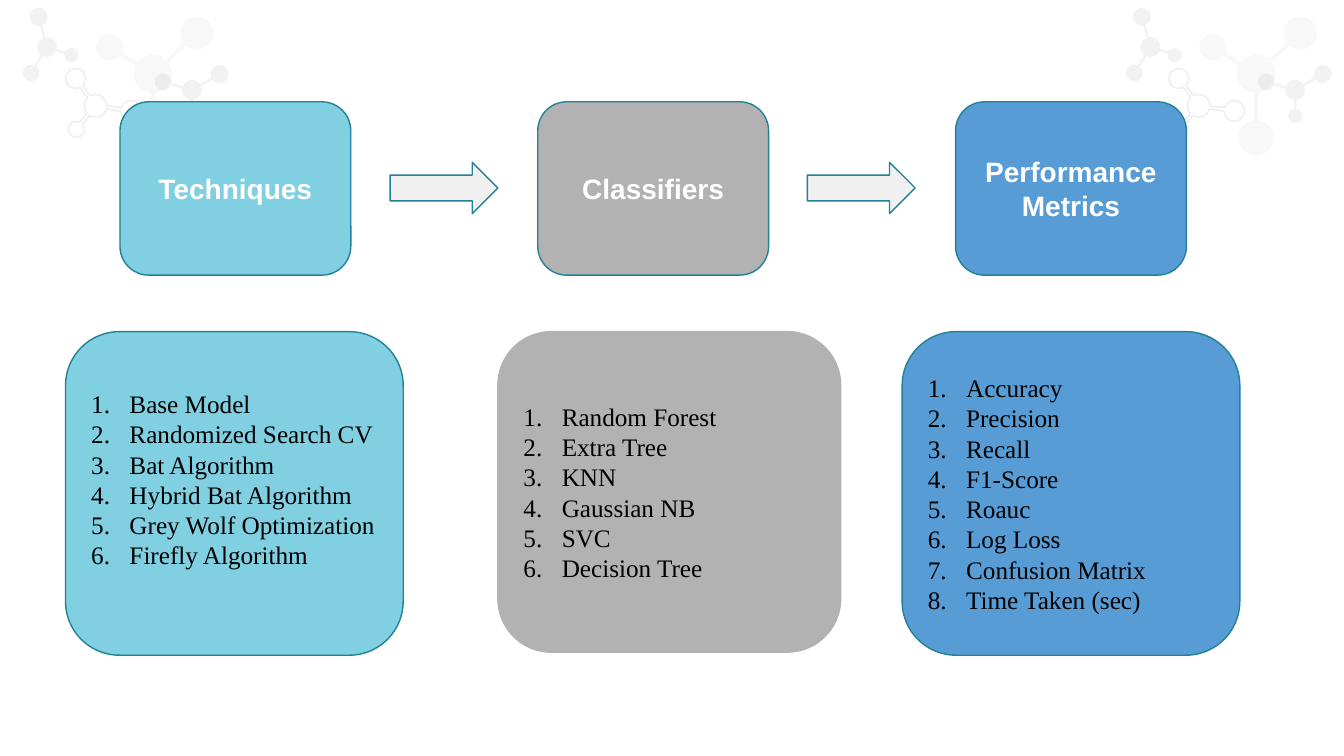
from dataclasses import dataclass
from math import asin, atan2, ceil, cos, pi, sin, tau

from lxml import etree
from pptx import Presentation
from pptx.dml.color import RGBColor
from pptx.enum.shapes import MSO_SHAPE
from pptx.enum.text import MSO_ANCHOR, PP_ALIGN
from pptx.oxml.ns import qn
from pptx.util import Inches, Pt

ROUNDED = MSO_SHAPE.ROUNDED_RECTANGLE
ARROW = MSO_SHAPE.RIGHT_ARROW
MIDDLE = MSO_ANCHOR.MIDDLE
LEFT, CENTER, JUSTIFY = PP_ALIGN.LEFT, PP_ALIGN.CENTER, PP_ALIGN.JUSTIFY

COLUMNS, ROWS = 80, 45
CELL = Inches(1) // 6
BLANK_LAYOUT = 6
STEPS_PER_TURN = 12


@dataclass(frozen=True)
class Theme:
    aqua: str = "81D0E2"
    gray: str = "B2B2B2"
    blue: str = "589CD6"
    edge: str = "238197"
    arrow: str = "F1F0F0"
    white: str = "FFFFFF"
    black: str = "000000"
    pale: str = "F2F2F2"
    mist: str = "808080"
    ring: str = "A6A6A6"
    head_font: str = "Arial"
    list_font: str = "Times New Roman"
    head_size: int = 20
    list_size: int = 18


THEME = Theme()

HEADS = [
    ("Techniques", THEME.aqua),
    ("Classifiers", THEME.gray),
    ("Performance Metrics", THEME.blue),
]

CARDS = [
    ((3.9, 19.74, 20.1, 19.26), THEME.aqua, THEME.edge, JUSTIFY, 1.7,
     ["Base Model", "Randomized Search CV", "Bat Algorithm",
      "Hybrid Bat Algorithm", "Grey Wolf Optimization", "Firefly Algorithm"]),
    ((29.64, 19.74, 20.4, 19.08), THEME.gray, THEME.gray, JUSTIFY, 0,
     ["Random Forest", "Extra Tree", "KNN", "Gaussian NB", "SVC", "Decision Tree"]),
    ((53.7, 19.74, 20.1, 19.26), THEME.blue, THEME.edge, LEFT, 0,
     ["Accuracy", "Precision", "Recall", "F1-Score", "Roauc", "Log Loss",
      "Confusion Matrix", "Time Taken (sec)"]),
]

MOLECULES = [
    ((11.43, 5.36, 0.6), [(9.7, 4.88, 0.5), (13.07, 4.4, 0.54), (11.43, 6.9, 0.42)],
     0.07, THEME.pale, None, 100),
    ((5.68, 6.3, 0.68), [(4.5, 4.67, 0.6), (4.55, 7.7, 0.48), (7.8, 6.6, 0.62)],
     0.1, None, THEME.ring, 20),
    ((9.1, 4.4, 1.16), [(6.5, 2.8, 0.8), (11.73, 1.97, 1.01), (9.1, 8.2, 1.07)],
     0.12, THEME.mist, None, 5),
    ((2.8, 2.8, 0.6), [(2.3, 1, 0.54), (1.85, 4.35, 0.5), (4.25, 3.28, 0.42)],
     0.07, THEME.pale, None, 100),
]


def cells(*counts):
    return [round(count * CELL) for count in counts]


def paint(shape, fill, line):
    shape.shadow.inherit = False
    if fill:
        shape.fill.solid()
        shape.fill.fore_color.rgb = RGBColor.from_string(fill)
    else:
        shape.fill.background()
    if line:
        shape.line.color.rgb = RGBColor.from_string(line)
        shape.line.width = Pt(1)
    else:
        shape.line.fill.background()


def add_box(page, kind, frame, fill, line):
    box = page.shapes.add_shape(kind, *cells(*frame))
    paint(box, fill, line)
    return box


def write(box, lines, align, font, size, color, bold):
    text = box.text_frame
    text.word_wrap = True
    text.vertical_anchor = MIDDLE
    text.text = "\n".join(lines)
    for para in text.paragraphs:
        para.alignment = align
        for span in para.runs:
            span.font.name = font
            span.font.size = Pt(size)
            span.font.bold = bold
            span.font.color.rgb = RGBColor.from_string(color)


def add_head(page, index, label, fill):
    frame = (7.14 + 24.87 * index, 6.06, 13.74, 10.32)
    box = add_box(page, ROUNDED, frame, fill, THEME.edge)
    write(box, [label], CENTER, THEME.head_font, THEME.head_size, THEME.white, True)


def number(para):
    properties = para._p.get_or_add_pPr()
    indent = Inches(0.38)
    properties.set("marL", str(indent))
    properties.set("indent", str(-indent))
    etree.SubElement(properties, qn("a:buFont"), typeface="+mj-lt")
    etree.SubElement(properties, qn("a:buAutoNum"), type="arabicPeriod")


def add_card(page, frame, fill, line, align, lift, items):
    box = add_box(page, ROUNDED, frame, fill, line)
    write(box, items, align, THEME.list_font, THEME.list_size, THEME.black, False)
    box.text_frame.margin_bottom = Inches(0.05) + cells(lift)[0]
    for para in box.text_frame.paragraphs:
        number(para)


def arc(atom, start, end):
    x, y, radius = atom
    steps = ceil((end - start) / tau * STEPS_PER_TURN)
    angles = [start + (end - start) * step / steps for step in range(steps + 1)]
    return [(x + radius * cos(angle), y + radius * sin(angle)) for angle in angles]


def molecule_outline(hub, atoms, bond):
    def bearing(atom):
        return atan2(atom[1] - hub[1], atom[0] - hub[0])

    ring = sorted(atoms, key=bearing)
    gap = asin(bond / hub[2])
    previous = bearing(ring[-1]) - tau
    points = []
    for atom in ring:
        angle = bearing(atom)
        opening = asin(bond / atom[2])
        points += arc(hub, previous + gap, angle - gap)
        points += arc(atom, angle - pi + opening, angle + pi - opening)
        previous = angle
    return points


def add_molecule(page, shift, hub, atoms, bond, fill, line, opacity):
    outline = molecule_outline(hub, atoms, bond)
    points = [cells(x + shift, y) for x, y in outline]
    builder = page.shapes.build_freeform(*points[0])
    builder.add_line_segments(points[1:], close=True)
    molecule = builder.convert_to_shape()
    paint(molecule, fill, line)
    if opacity < 100:
        color = next(molecule._element.spPr.iter(qn("a:srgbClr")))
        etree.SubElement(color, qn("a:alpha"), val=str(opacity * 1000))


def main():
    deck = Presentation()
    deck.slide_width, deck.slide_height = cells(COLUMNS, ROWS)
    page = deck.slides.add_slide(deck.slide_layouts[BLANK_LAYOUT])
    for shift in (65.67, 0):
        for molecule in MOLECULES:
            add_molecule(page, shift, *molecule)
    for index, head in enumerate(HEADS):
        add_head(page, index, *head)
    for card in CARDS:
        add_card(page, *card)
    for index in range(len(HEADS) - 1):
        frame = (23.22 + 24.84 * index, 9.66, 6.42, 3.06)
        add_box(page, ARROW, frame, THEME.arrow, THEME.edge)
    deck.save("out.pptx")


if __name__ == "__main__":
    main()
